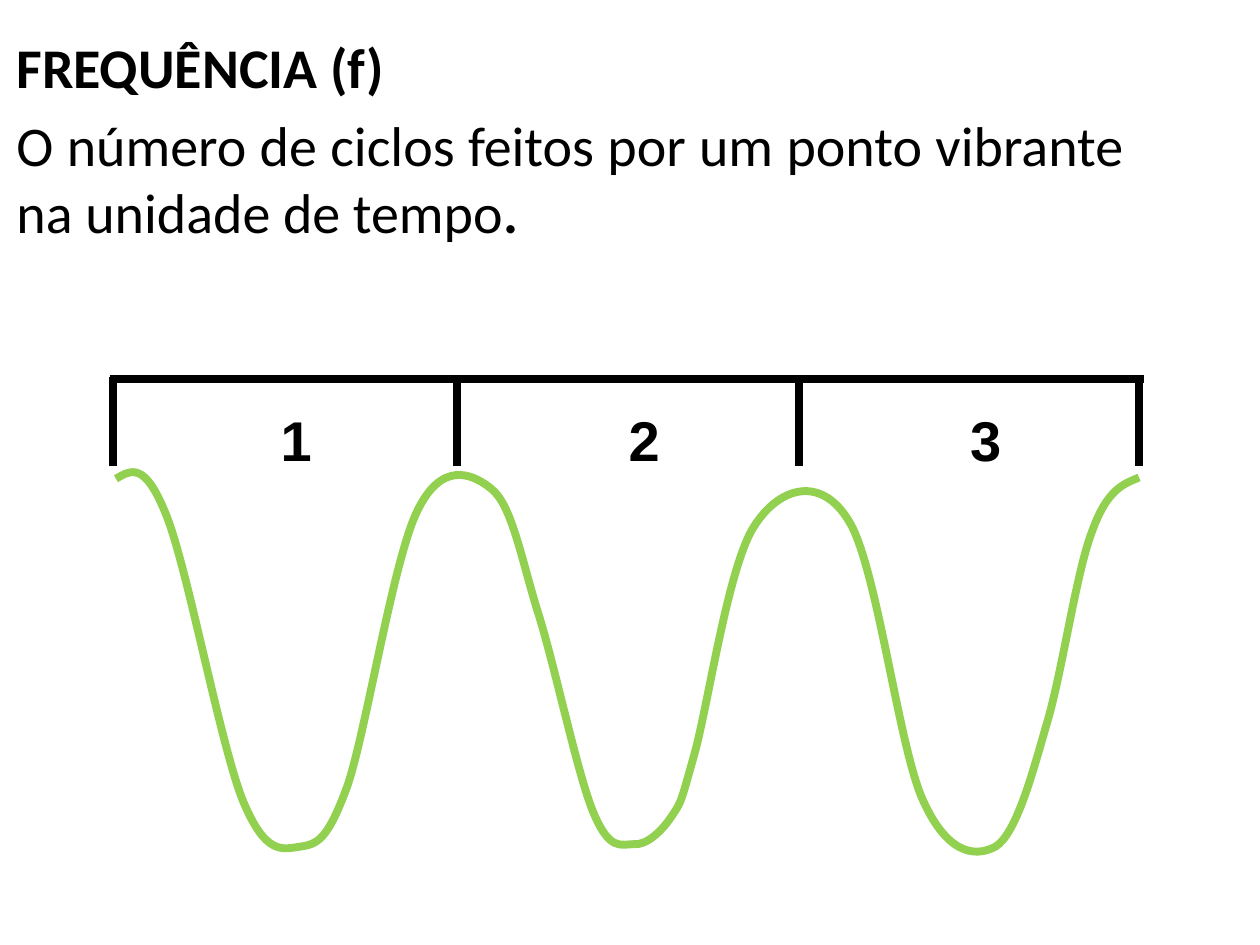
from typing import NamedTuple

from lxml.etree import SubElement
from pptx import Presentation
from pptx.dml.color import RGBColor
from pptx.enum.shapes import MSO_CONNECTOR
from pptx.enum.text import MSO_AUTO_SIZE, PP_ALIGN
from pptx.oxml.ns import qn
from pptx.util import Inches, Pt

BLACK = "000000"
GREEN = "92D050"
LINE_WIDTH = Pt(4.5)

BAR_Y = 3.01
TICK_TOP, TICK_BOTTOM = 2.99, 3.7
TICKS = (0.9, 3.63, 6.34, 9.04)
LABEL_TOP, LABEL_HEIGHT = 3.17, 0.64


class Point(NamedTuple):
    x: float
    y: float


class Bend(NamedTuple):
    """One cubic curve section: two control points and its end."""
    control_1: Point
    control_2: Point
    end: Point


class CycleLabel(NamedTuple):
    text: str
    left: float
    width: float
    alignment: PP_ALIGN


class Paragraph(NamedTuple):
    runs: tuple[tuple[str, bool], ...]
    hanging: float
    space_before: float


LABELS = (
    CycleLabel("1", 2.13, 0.3, PP_ALIGN.CENTER),
    CycleLabel("2", 4.89, 0.41, PP_ALIGN.LEFT),
    CycleLabel("3", 7.6, 0.41, PP_ALIGN.LEFT),
)

DEFINITION = (
    Paragraph((("FREQUÊNCIA (f)", True),), 0.38, 0),
    Paragraph((
        ("O número de ciclos feitos por um ponto vibrante na unidade de tempo",
         False),
        (". ", True)), 0, 6),
)

WAVE_START = Point(0.92, 3.8)
WAVE = [Bend(Point(*row[:2]), Point(*row[2:4]), Point(*row[4:])) for row in (
    (1.04, 3.73, 1.15, 3.66, 1.32, 4.09),
    (1.49, 4.51, 1.75, 5.92, 1.93, 6.36),
    (2.11, 6.79, 2.24, 6.74, 2.38, 6.72),
    (2.52, 6.7, 2.6, 6.67, 2.76, 6.23),
    (2.91, 5.78, 3.12, 4.45, 3.31, 4.06),
    (3.5, 3.66, 3.74, 3.75, 3.9, 3.88),
    (4.06, 4.01, 4.13, 4.4, 4.26, 4.83),
    (4.4, 5.26, 4.58, 6.14, 4.71, 6.45),
    (4.84, 6.76, 4.93, 6.7, 5.03, 6.7),
    (5.13, 6.71, 5.25, 6.6, 5.33, 6.48),
    (5.41, 6.36, 5.4, 6.38, 5.51, 5.99),
    (5.62, 5.6, 5.78, 4.48, 5.99, 4.17),
    (6.19, 3.86, 6.52, 3.77, 6.74, 4.14),
    (6.96, 4.5, 7.13, 5.91, 7.32, 6.34),
    (7.51, 6.77, 7.73, 6.81, 7.9, 6.72),
    (8.06, 6.62, 8.18, 6.19, 8.3, 5.77),
    (8.43, 5.35, 8.54, 4.54, 8.67, 4.21),
    (8.79, 3.88, 8.92, 3.84, 9.04, 3.79),
)]


def color(value: str) -> RGBColor:
    return RGBColor.from_string(value)


def format_font(font, **values) -> None:
    for name, value in {"size": Pt(32), **values}.items():
        setattr(font, name, value)
    font.color.rgb = color(BLACK)


def format_line(line, value: str) -> None:
    line.color.rgb = color(value)
    line.width = LINE_WIDTH


def add_definition(slide) -> None:
    title = slide.shapes.title.element
    title.getparent().remove(title)
    body = slide.placeholders[1]
    place = {"left": 0.03, "top": 0.21, "width": 9, "height": 4.95}
    for name, value in place.items():
        setattr(body, name, Inches(value))
    frame = body.text_frame
    frame.auto_size = MSO_AUTO_SIZE.NONE
    for index, content in enumerate(DEFINITION):
        paragraph = frame.add_paragraph() if index else frame.paragraphs[0]
        paragraph.alignment = PP_ALIGN.JUSTIFY
        paragraph.space_before = Pt(content.space_before)
        properties = paragraph._p.get_or_add_pPr()
        properties.set("marL", str(Inches(content.hanging)))
        properties.set("indent", str(-Inches(content.hanging)))
        SubElement(properties, qn("a:buNone"))
        for text, bold in content.runs:
            run = paragraph.add_run()
            run.text = text
            format_font(run.font, name="Calibri", bold=bold)


def add_wave(shapes, start: Point, bends: list[Bend]) -> None:
    """Outline all curve points, then join each three into a cubic curve."""
    builder = shapes.build_freeform(*map(Inches, start))
    builder.add_line_segments(
        [tuple(map(Inches, point)) for bend in bends for point in bend],
        close=False)
    wave = builder.convert_to_shape()
    outline = next(wave._element.iter(qn("a:path")))
    segments = outline.findall(qn("a:lnTo"))
    for first in range(0, len(segments), len(Bend._fields)):
        curve = SubElement(outline, qn("a:cubicBezTo"))
        for segment in segments[first:first + len(Bend._fields)]:
            curve.append(segment[0])
            outline.remove(segment)
    wave.shadow.inherit = False
    wave.fill.background()
    format_line(wave.line, GREEN)


def add_rule(shapes, start: Point, end: Point) -> None:
    rule = shapes.add_connector(
        MSO_CONNECTOR.STRAIGHT, *map(Inches, (*start, *end)))
    format_line(rule.line, BLACK)
    SubElement(rule._element.spPr, qn("a:effectLst"))


def add_label(slide, label: CycleLabel) -> None:
    box = slide.shapes.add_textbox(*map(
        Inches, (label.left, LABEL_TOP, label.width, LABEL_HEIGHT)))
    box.text_frame.word_wrap = True
    box.text_frame.auto_size = MSO_AUTO_SIZE.SHAPE_TO_FIT_TEXT
    paragraph = box.text_frame.paragraphs[0]
    paragraph.alignment = label.alignment
    run = paragraph.add_run()
    run.text = label.text
    format_font(run.font, name="Arial", bold=True)


def main() -> None:
    presentation = Presentation()
    presentation.slide_width = Inches(10)
    presentation.slide_height = Inches(7.5)
    slide = presentation.slides.add_slide(presentation.slide_layouts[1])
    add_definition(slide)
    diagram = slide.shapes.add_group_shape().shapes
    add_wave(diagram, WAVE_START, WAVE)
    add_rule(diagram, Point(0.87, BAR_Y), Point(9.08, BAR_Y))
    for x in TICKS:
        add_rule(diagram, Point(x, TICK_TOP), Point(x, TICK_BOTTOM))
    for label in LABELS:
        add_label(slide, label)
    presentation.save("out.pptx")


if __name__ == "__main__":
    main()
